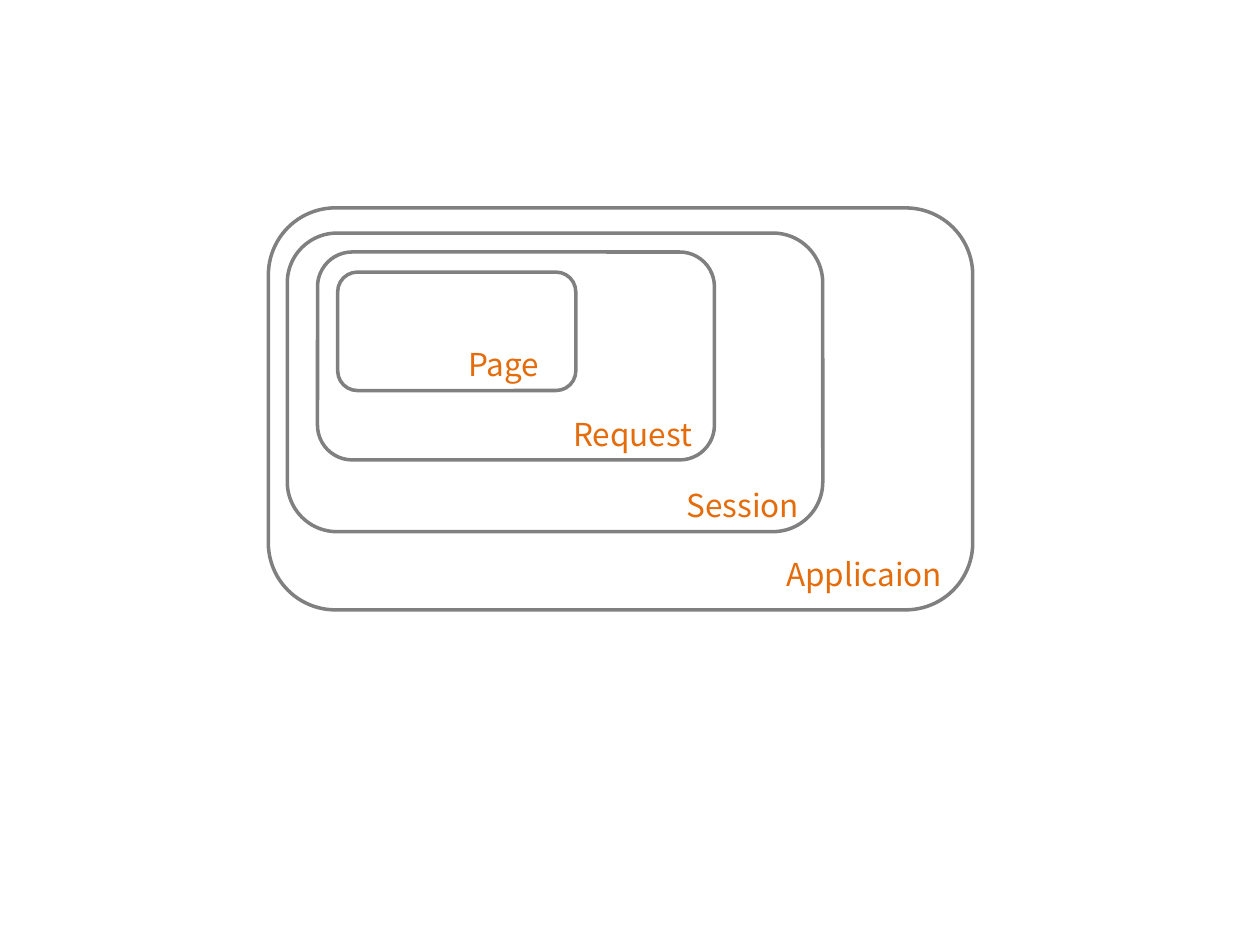
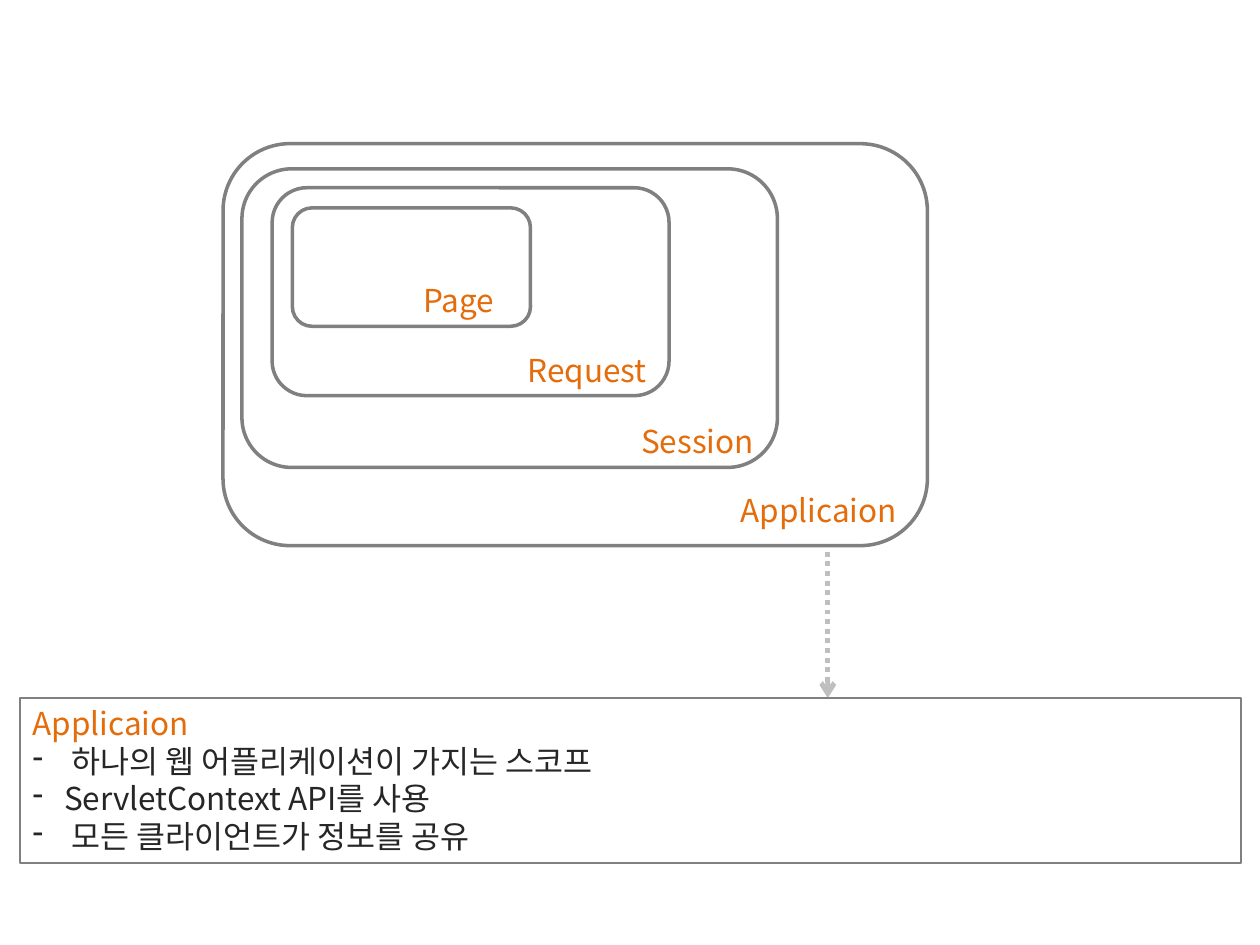
from lxml import etree
from pptx import Presentation
from pptx.dml.color import RGBColor
from pptx.enum.dml import MSO_LINE
from pptx.enum.shapes import MSO_CONNECTOR, MSO_SHAPE
from pptx.enum.text import MSO_ANCHOR, MSO_AUTO_SIZE, PP_ALIGN
from pptx.oxml.ns import qn
from pptx.util import Inches, Pt

COLORS = {"outline": "808080", "label": "E46C0A", "body": "262626", "arrow": "BFBFBF"}
FONT = "Noto Sans CJK KR"
TEXT_FORMAT = {"size": Pt(18), "name": FONT}
PARAGRAPH_FORMAT = {"alignment": PP_ALIGN.LEFT, "line_spacing": Pt(21.5)}
FRAME_FORMAT = {
    "word_wrap": True,
    "auto_size": MSO_AUTO_SIZE.SHAPE_TO_FIT_TEXT,
    "vertical_anchor": MSO_ANCHOR.TOP,
}

# name, box (left, top, width, height), label (left, top, width),
# innermost first, measured from the corner of the outermost box
SCOPES = [
    ("Page", (0.55, 0.51, 1.89, 0.94), (1.49, 1.04, 1.26)),
    ("Request", (0.39, 0.35, 3.15, 1.65), (2.32, 1.60, 1.26)),
    ("Session", (0.15, 0.20, 4.25, 2.37), (3.22, 2.16, 1.26)),
    ("Applicaion", (0, 0, 5.59, 3.19), (4.01, 2.71, 2.05)),
]
LABEL_HEIGHT = 0.4


def rgb(color):
    return RGBColor.from_string(COLORS[color])


def apply_format(target, values):
    for name, value in values.items():
        setattr(target, name, value)


class ScopeDeck:
    def __init__(self):
        self.deck = Presentation()
        self.deck.slide_width, self.deck.slide_height = Inches(10), Inches(7.5)
        self.slide = None

    def new_slide(self):
        self.slide = self.deck.slides.add_slide(self.deck.slide_layouts[6])

    def box(self, shapes, preset, area, line_width):
        box = shapes.add_shape(preset, *map(Inches, area))
        box.shadow.inherit = False
        box.fill.background()
        box.line.color.rgb = rgb("outline")
        box.line.width = Pt(line_width)
        return box

    def add_text(self, paragraph, text, color):
        apply_format(paragraph, PARAGRAPH_FORMAT)
        run = paragraph.add_run()
        run.text = text
        run.font.color.rgb = rgb(color)
        apply_format(run.font, TEXT_FORMAT)
        etree.SubElement(run.font._element, qn("a:ea"), typeface=FONT)

    def bullet(self, paragraph, indent):
        properties = paragraph._p.get_or_add_pPr()
        properties.set("marL", str(Inches(indent)))
        properties.set("indent", str(-Inches(indent)))
        etree.SubElement(properties, qn("a:buChar"), char="-")

    def label(self, shapes, text, area):
        frame = shapes.add_textbox(*map(Inches, area)).text_frame
        apply_format(frame, FRAME_FORMAT)
        self.add_text(frame.paragraphs[0], text, "label")

    def nested_scopes(self, left, top):
        shapes = self.slide.shapes.add_group_shape().shapes
        for name, (x, y, *size), (label_x, label_y, label_width) in SCOPES:
            self.box(shapes, MSO_SHAPE.ROUNDED_RECTANGLE, (left + x, top + y, *size), 2)
            self.label(shapes, name,
                       (left + label_x, top + label_y, label_width, LABEL_HEIGHT))

    def dotted_arrow(self, start, end):
        arrow = self.slide.shapes.add_connector(
            MSO_CONNECTOR.STRAIGHT, *map(Inches, (*start, *end)))
        arrow.line.color.rgb = rgb("arrow")
        apply_format(arrow.line, {"width": Pt(2.75), "dash_style": MSO_LINE.ROUND_DOT})
        etree.SubElement(arrow.line._get_or_add_ln(), qn("a:tailEnd"), type="arrow")
        etree.SubElement(arrow._element.spPr, qn("a:effectLst"))

    def description(self, area, heading, points):
        """Draw a framed heading with (text, indent) points below it."""
        frame = self.box(self.slide.shapes, MSO_SHAPE.RECTANGLE, area, 1.25).text_frame
        apply_format(frame, FRAME_FORMAT)
        self.add_text(frame.paragraphs[0], heading, "label")
        for text, indent in points:
            paragraph = frame.add_paragraph()
            self.add_text(paragraph, text, "body")
            self.bullet(paragraph, indent)


def main():
    scopes = ScopeDeck()

    scopes.new_slide()
    scopes.nested_scopes(2.13, 1.65)

    scopes.new_slide()
    scopes.nested_scopes(1.77, 1.14)
    scopes.dotted_arrow((6.57, 4.38), (6.57, 5.54))
    scopes.description((0.16, 5.54, 9.69, 1.31), "Applicaion", [
        ("하나의 웹 어플리케이션이 가지는 스코프", 0.31),
        ("ServletContext API를 사용", 0.25),
        ("모든 클라이언트가 정보를 공유", 0.31),
    ])

    scopes.deck.save("out.pptx")


if __name__ == "__main__":
    main()
